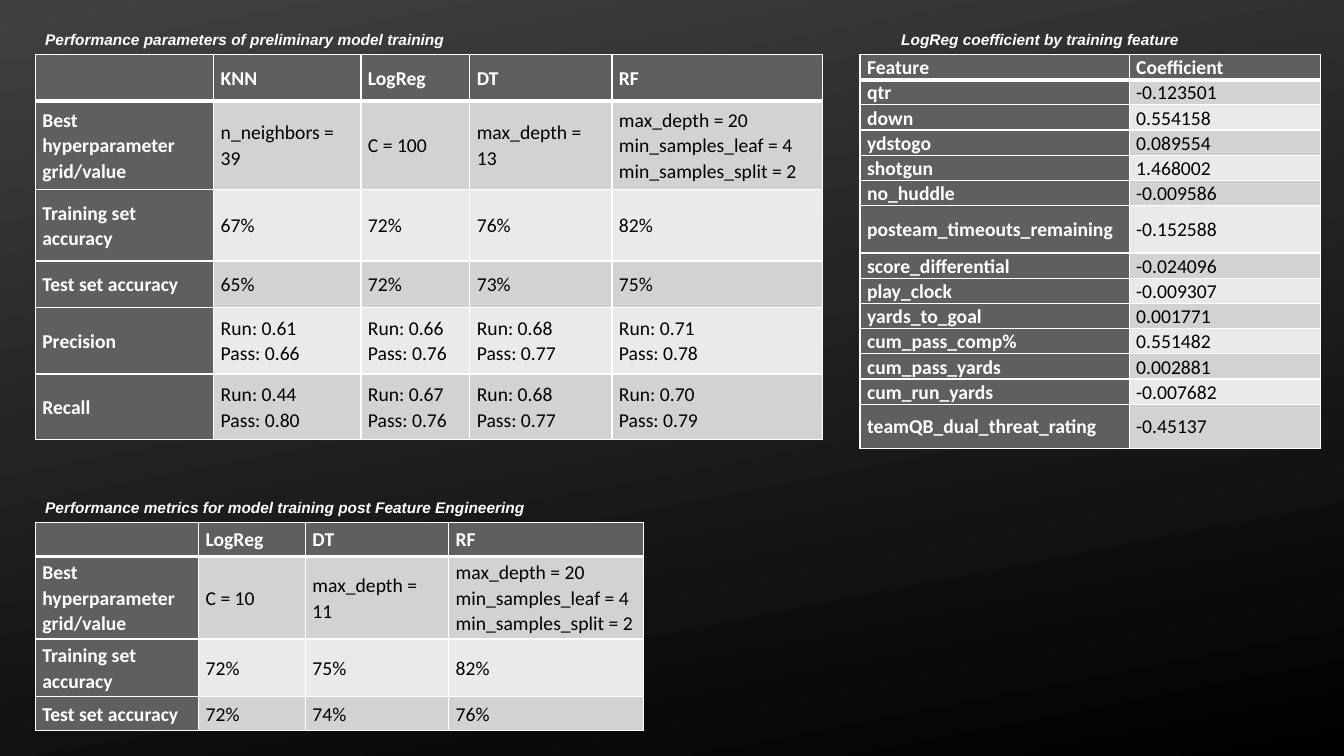
from dataclasses import dataclass

from lxml.etree import SubElement
from pptx import Presentation
from pptx.dml.color import RGBColor
from pptx.enum.text import MSO_ANCHOR
from pptx.oxml.ns import qn
from pptx.util import Inches, Pt

HYPERPARAMETERS = "Best hyperparameter grid/value"
FOREST_GRID = "max_depth = 20\nmin_samples_leaf = 4\nmin_samples_split = 2"

TABLES = [
    {
        "caption": "Performance parameters of preliminary model training",
        "caption_box": (0.35, 0.24, 7.78),
        "position": (0.35, 0.54),
        "columns": [1.77, 1.46, 1.08, 1.41, 2.09],
        "heights": [0.46, 0.88, 0.71, 0.46, 0.66, 0.65],
        "rows": [
            ["", "KNN", "LogReg", "DT", "RF"],
            [HYPERPARAMETERS, "n_neighbors = 39", "C = 100", "max_depth = 13", FOREST_GRID],
            ["Training set accuracy", "67%", "72%", "76%", "82%"],
            ["Test set accuracy", "65%", "72%", "73%", "75%"],
            ["Precision", "Run: 0.61\nPass: 0.66", "Run: 0.66\nPass: 0.76",
             "Run: 0.68\nPass: 0.77", "Run: 0.71\nPass: 0.78"],
            ["Recall", "Run: 0.44\nPass: 0.80", "Run: 0.67\nPass: 0.76",
             "Run: 0.68\nPass: 0.77", "Run: 0.70\nPass: 0.79"],
        ],
    },
    {
        "caption": "LogReg coefficient by training feature",
        "caption_box": (8.84, 0.24, 3.76),
        "position": (8.53, 0.54),
        "columns": [2.67, 1.9],
        "heights": [0.25] * 6 + [0.47] + [0.25] * 6 + [0.44],
        "rows": [
            ["Feature", "Coefficient"],
            ["qtr", "-0.123501"],
            ["down", "0.554158"],
            ["ydstogo", "0.089554"],
            ["shotgun", "1.468002"],
            ["no_huddle", "-0.009586"],
            ["posteam_timeouts_remaining", "-0.152588"],
            ["score_differential", "-0.024096"],
            ["play_clock", "-0.009307"],
            ["yards_to_goal", "0.001771"],
            ["cum_pass_comp%", "0.551482"],
            ["cum_pass_yards", "0.002881"],
            ["cum_run_yards", "-0.007682"],
            ["teamQB_dual_threat_rating", "-0.45137"],
        ],
    },
    {
        "caption": "Performance metrics for model training post Feature Engineering",
        "caption_box": (0.35, 4.88, 5.67),
        "position": (0.35, 5.18),
        "columns": [1.62, 1.06, 1.42, 1.93],
        "heights": [0.34, 0.82, 0.57, 0.34],
        "rows": [
            ["", "LogReg", "DT", "RF"],
            [HYPERPARAMETERS, "C = 10", "max_depth = 11", FOREST_GRID],
            ["Training set accuracy", "72%", "75%", "82%"],
            ["Test set accuracy", "72%", "74%", "76%"],
        ],
    },
]


@dataclass(frozen=True)
class Theme:
    background: tuple = ("404040", "000000")
    background_angle: int = 281
    heading_fill: str = "5F5F5F"
    band_fills: tuple = ("EAEAEA", "D2D2D2")
    light: str = "FFFFFF"
    dark: str = "000000"
    table_font: str = "Calibri"
    table_size: int = 14
    caption_font: str = "Arial"
    caption_size: int = 11
    caption_height: float = 0.3
    line_spacing: float = 1.07
    thin: int = 1
    thick: int = 3


THEME = Theme()


def style_font(font, name, size, color, bold, italic=False):
    font.name = name
    font.size = Pt(size)
    font.color.rgb = RGBColor.from_string(color)
    font.bold = bold
    font.italic = italic


def add_border(cell, side, width):
    properties = cell._tc.get_or_add_tcPr()
    line = SubElement(properties, qn(f"a:ln{side}"), w=str(Pt(width)))
    fill = SubElement(line, qn("a:solidFill"))
    SubElement(fill, qn("a:srgbClr"), val=THEME.light)


def fill_cell(cell, text, row, column):
    heading = row == 0 or column == 0
    widths = {
        "L": THEME.thin,
        "R": THEME.thin,
        "T": THEME.thick if row == 1 else THEME.thin,
        "B": THEME.thick if row == 0 else THEME.thin,
    }
    for side, width in widths.items():
        add_border(cell, side, width)
    cell.fill.solid()
    color = THEME.heading_fill if heading else THEME.band_fills[row % 2]
    cell.fill.fore_color.rgb = RGBColor.from_string(color)
    cell.margin_left = cell.margin_right = Inches(0.07)
    cell.margin_top = cell.margin_bottom = 0
    cell.vertical_anchor = MSO_ANCHOR.MIDDLE
    cell.text = text
    for paragraph in cell.text_frame.paragraphs:
        paragraph.line_spacing = THEME.line_spacing
        style_font(paragraph.font, THEME.table_font, THEME.table_size,
                   THEME.light if heading else THEME.dark, heading)


def add_data_table(slide, content):
    left, top = content["position"]
    columns, heights, rows = content["columns"], content["heights"], content["rows"]
    table = slide.shapes.add_table(
        len(rows), len(columns), Inches(left), Inches(top),
        Inches(sum(columns)), Inches(sum(heights))).table
    table.first_col = True
    for column, width in zip(table.columns, columns):
        column.width = Inches(width)
    for row, height in zip(table.rows, heights):
        row.height = Inches(height)
    for row, values in enumerate(rows):
        for column, text in enumerate(values):
            fill_cell(table.cell(row, column), text, row, column)


def add_caption(slide, content):
    left, top, width = content["caption_box"]
    caption = slide.shapes.add_textbox(
        Inches(left), Inches(top), Inches(width), Inches(THEME.caption_height))
    frame = caption.text_frame
    frame.word_wrap = True
    frame.vertical_anchor = MSO_ANCHOR.MIDDLE
    frame.text = content["caption"]
    style_font(frame.paragraphs[0].font, THEME.caption_font, THEME.caption_size,
               THEME.light, True, True)


def main():
    presentation = Presentation()
    presentation.slide_width = Inches(13.33)
    presentation.slide_height = Inches(7.5)
    slide = presentation.slides.add_slide(presentation.slide_layouts[6])
    background = slide.background.fill
    background.gradient()
    background.gradient_angle = THEME.background_angle
    for stop, color in zip(background.gradient_stops, THEME.background):
        stop.color.rgb = RGBColor.from_string(color)
    for content in TABLES:
        add_data_table(slide, content)
        add_caption(slide, content)
    presentation.save("out.pptx")


if __name__ == "__main__":
    main()
